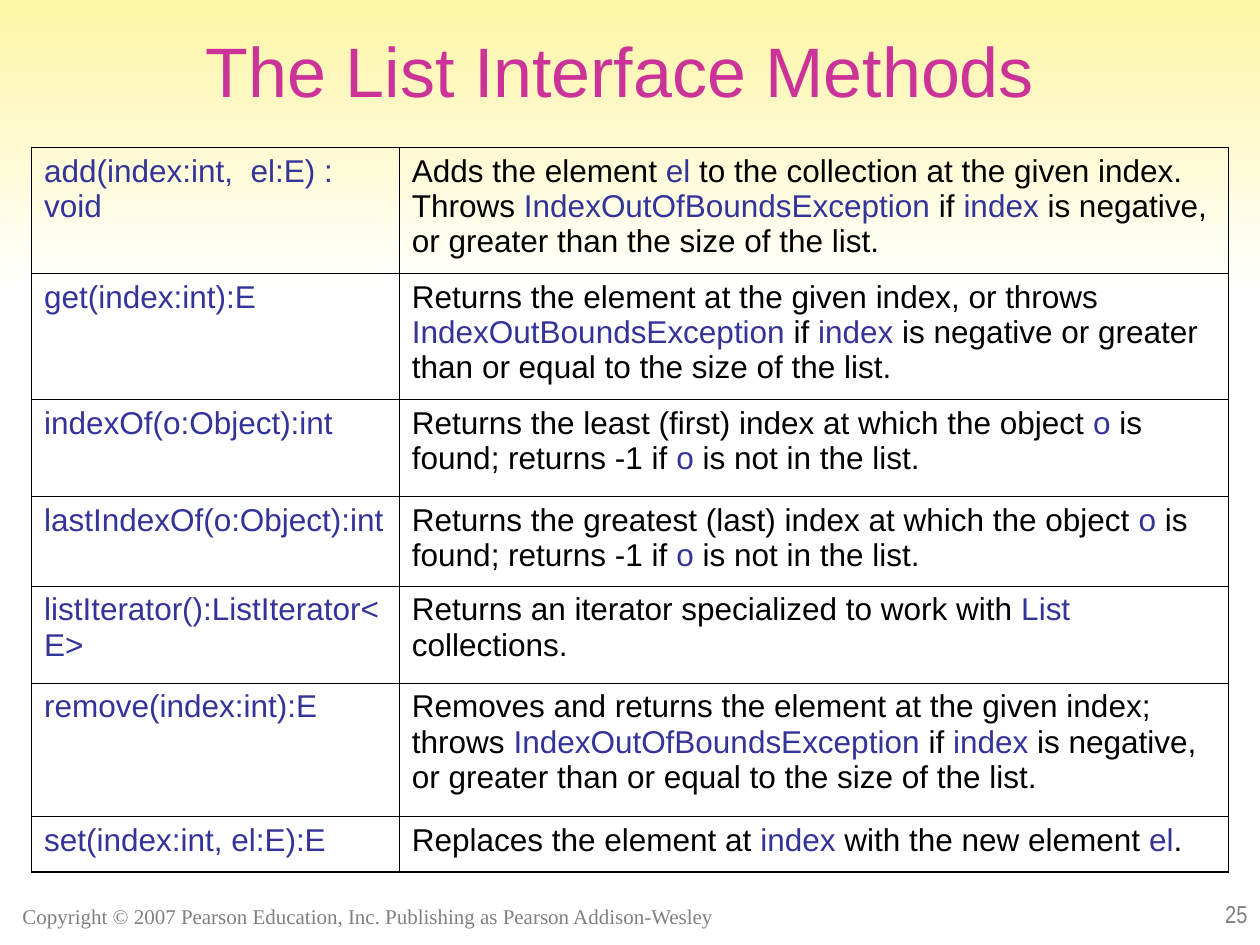
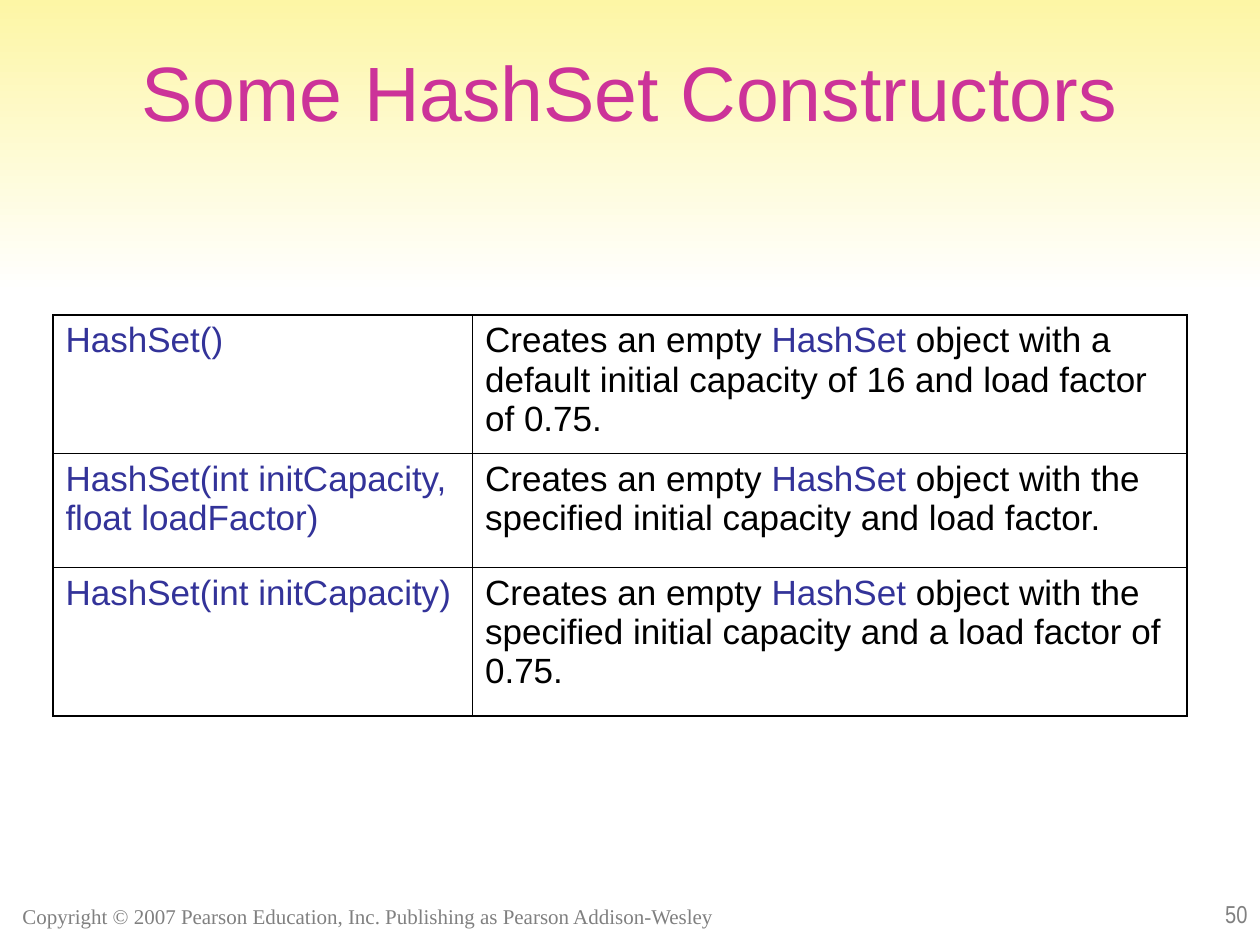
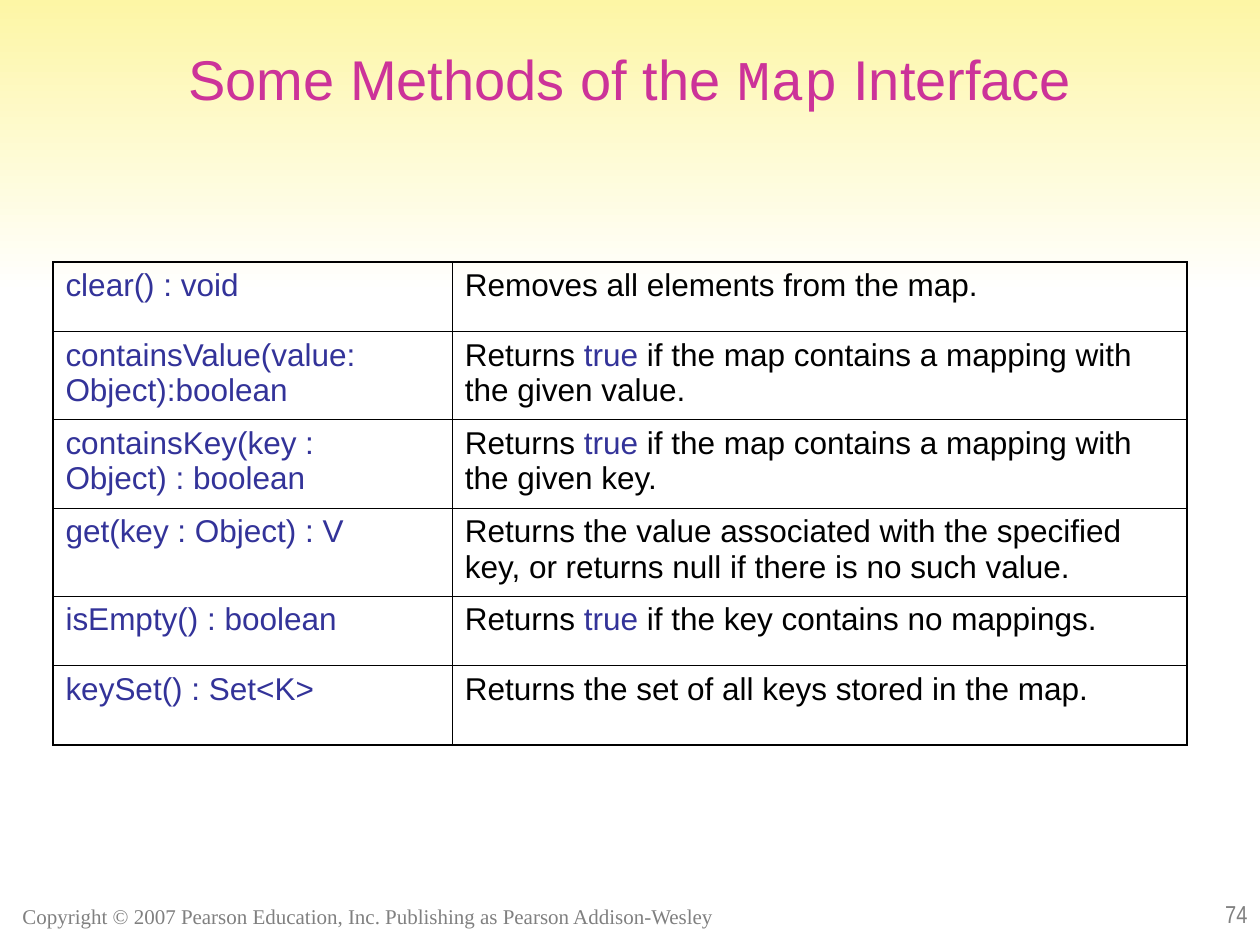
"""Build three slides of collection method tables; backticks mark code in the texts."""
from lxml.etree import SubElement
from pptx import Presentation
from pptx.dml.color import RGBColor
from pptx.enum.shapes import MSO_SHAPE
from pptx.enum.text import MSO_ANCHOR as Anchor, MSO_AUTO_SIZE as AutoSize, PP_ALIGN as Align
from pptx.oxml.ns import qn
from pptx.util import Inches, Pt

COLORS = {"title": "CC3399", "code": "333399", "text": "000000", "border": "000000",
          "footer": "808080", "band_top": "FDF6A5", "band_bottom": "FFFFFF"}
WIDTH, HEIGHT = 10, 7.5
BAND_HEIGHT = 2.33
OUTER_LINE, INNER_LINE = 1.08, 0.45
COPYRIGHT = "Copyright © 2007 Pearson Education, Inc. Publishing as Pearson Addison-Wesley"

TITLE_FORMAT = {"size": Pt(40), "name": "Arial"}
COPYRIGHT_FORMAT = {"size": Pt(12), "name": "Times New Roman"}
NUMBER_FORMAT = {"size": Pt(14), "name": "Arial Narrow"}

SLIDES = [
    {"number": "25", "title": "The List Interface Methods",
     "title_box": (0.42, 0.17, 9, 0.62), "title_size": 40,
     "table_at": (0.25, 1.17), "columns": (2.92, 6.58), "text_size": 18,
     "rows": [
         (1, "add(index:int,  el:E) : void",
          "Adds the element `el` to the collection at the given index. Throws "
          "`IndexOutOfBoundsException` if `index` is negative, or greater than the size of the list."),
         (1, "get(index:int):E",
          "Returns the element at the given index, or throws `IndexOutBoundsException` if `index` "
          "is negative or greater than or equal to the size of the list."),
         (0.77, "indexOf(o:Object):int",
          "Returns the least (first) index at which the object `o` is found; "
          "returns -1 if `o` is not in the list."),
         (0.71, "lastIndexOf(o:Object):int",
          "Returns the greatest (last) index at which the object `o` is found; "
          "returns -1 if `o` is not in the list."),
         (0.77, "listIterator():ListIterator<E>",
          "Returns an iterator specialized to work with `List` collections."),
         (1.06, "remove(index:int):E",
          "Removes and returns the element at the given index; throws `IndexOutOfBoundsException` "
          "if `index` is negative, or greater than or equal to the size of the list."),
         (0.44, "set(index:int, el:E):E",
          "Replaces the element at `index` with the new element `el`."),
     ]},
    {"number": "50", "title": "Some HashSet Constructors",
     "title_box": (0.5, 0.3, 9, 1.25), "title_size": 44,
     "table_at": (0.42, 2.5), "columns": (3.33, 5.67), "text_size": 20,
     "rows": [
         (1.1, "HashSet()",
          "Creates an empty `HashSet` object with a default initial capacity of 16 "
          "and load factor of 0.75."),
         (0.9, "HashSet(int initCapacity, float loadFactor)",
          "Creates an empty `HashSet` object with the specified initial capacity and load factor."),
         (1.18, "HashSet(int initCapacity)",
          "Creates an empty `HashSet` object with the specified initial capacity "
          "and a load factor of 0.75."),
     ]},
    {"number": "74", "title": "Some Methods of the `Map` Interface",
     "title_box": (0.5, 0.3, 9, 0.7), "title_size": 32,
     "table_at": (0.42, 2.08), "columns": (3.17, 5.83), "text_size": 18,
     "rows": [
         (0.55, "clear() : void", "Removes all elements from the map."),
         (0.7, "containsValue(value: Object):boolean",
          "Returns `true` if the map contains a mapping with the given value."),
         (0.7, "containsKey(key : Object) : boolean",
          "Returns `true` if the map contains a mapping with the given key."),
         (0.7, "get(key : Object) : V",
          "Returns the value associated with the specified key, "
          "or returns null if there is no such value."),
         (0.55, "isEmpty() : boolean", "Returns `true` if the key contains no mappings."),
         (0.63, "keySet() : Set<K>", "Returns the set of all keys stored in the map."),
     ]},
]


def color(name):
    return RGBColor.from_string(COLORS[name])


def write(para, text, text_format, plain="text", code="code", code_font=None):
    for index, piece in enumerate(text.split("`")):
        if not piece:
            continue
        is_code = index % 2 == 1
        span = para.add_run()
        span.text = piece
        for key, value in text_format.items():
            setattr(span.font, key, value)
        if is_code and code_font:
            span.font.name = code_font
        span.font.color.rgb = color(code if is_code else plain)


def add_footer_text(page, place, text, text_format, align):
    box = page.shapes.add_textbox(*map(Inches, place))
    frame = box.text_frame
    frame.word_wrap, frame.vertical_anchor = True, Anchor.BOTTOM
    para = frame.paragraphs[0]
    para.alignment = align
    write(para, text, text_format, plain="footer")
    return box


def add_band(page):
    band = page.shapes.add_shape(MSO_SHAPE.RECTANGLE, 0, 0, Inches(WIDTH), Inches(BAND_HEIGHT))
    band.shadow.inherit = False
    band.line.fill.background()
    band.fill.gradient()
    band.fill.gradient_angle = 270
    for position, (stop, name) in enumerate(zip(band.fill.gradient_stops, ("band_top", "band_bottom"))):
        stop.position = position
        stop.color.rgb = color(name)
    return band


def share_on_layout(layout, page):
    """Move the band and the copyright line from the page to its layout."""
    copyright_line = add_footer_text(page, (0.08, 7, 5.92, 0.42), COPYRIGHT,
                                     COPYRIGHT_FORMAT, Align.LEFT)
    for index, shape in enumerate((copyright_line, add_band(page))):
        layout.shapes._spTree.insert(2 + index, shape._element)


def set_title(page, content):
    title = page.shapes.title
    for key, value in zip(("left", "top", "width", "height"), content["title_box"]):
        setattr(title, key, Inches(value))
    frame = title.text_frame
    frame.auto_size, frame.vertical_anchor = AutoSize.NONE, Anchor.TOP
    para = frame.paragraphs[0]
    para.alignment = Align.CENTER
    write(para, content["title"], {**TITLE_FORMAT, "size": Pt(content["title_size"])},
          plain="title", code="title", code_font="Courier New")


def set_borders(cell, outer_sides):
    properties = cell._tc.get_or_add_tcPr()
    for side in "LRTB":
        weight = OUTER_LINE if side in outer_sides else INNER_LINE
        line = SubElement(properties, qn(f"a:ln{side}"), w=str(Pt(weight)))
        fill = SubElement(line, qn("a:solidFill"))
        SubElement(fill, qn("a:srgbClr"), val=COLORS["border"])


def add_method_table(page, content):
    rows, columns = content["rows"], content["columns"]
    size = sum(columns), sum(row[0] for row in rows)
    table = page.shapes.add_table(len(rows), len(columns),
                                  *map(Inches, content["table_at"] + size)).table
    table.first_row = table.horz_banding = False
    for column, width in zip(table.columns, columns):
        column.width = Inches(width)
    text_format = {"size": Pt(content["text_size"]), "name": "Arial"}
    for row_index, (height, method, description) in enumerate(rows):
        table.rows[row_index].height = Inches(height)
        vertical_sides = "T" * (row_index == 0) + "B" * (row_index == len(rows) - 1)
        for column_index, text in enumerate((f"`{method}`", description)):
            cell = table.cell(row_index, column_index)
            set_borders(cell, vertical_sides + "LR"[column_index])
            cell.fill.background()
            write(cell.text_frame.paragraphs[0], text, text_format)


def main():
    deck = Presentation()
    deck.slide_width, deck.slide_height = Inches(WIDTH), Inches(HEIGHT)
    layout = deck.slide_layouts[5]
    pages = [deck.slides.add_slide(layout) for _ in SLIDES]
    share_on_layout(layout, pages[0])
    for page, content in zip(pages, SLIDES):
        add_footer_text(page, (7.92, 6.92, 2.08, 0.5), content["number"],
                        NUMBER_FORMAT, Align.RIGHT)
        set_title(page, content)
        add_method_table(page, content)
    deck.save("out.pptx")


if __name__ == "__main__":
    main()
